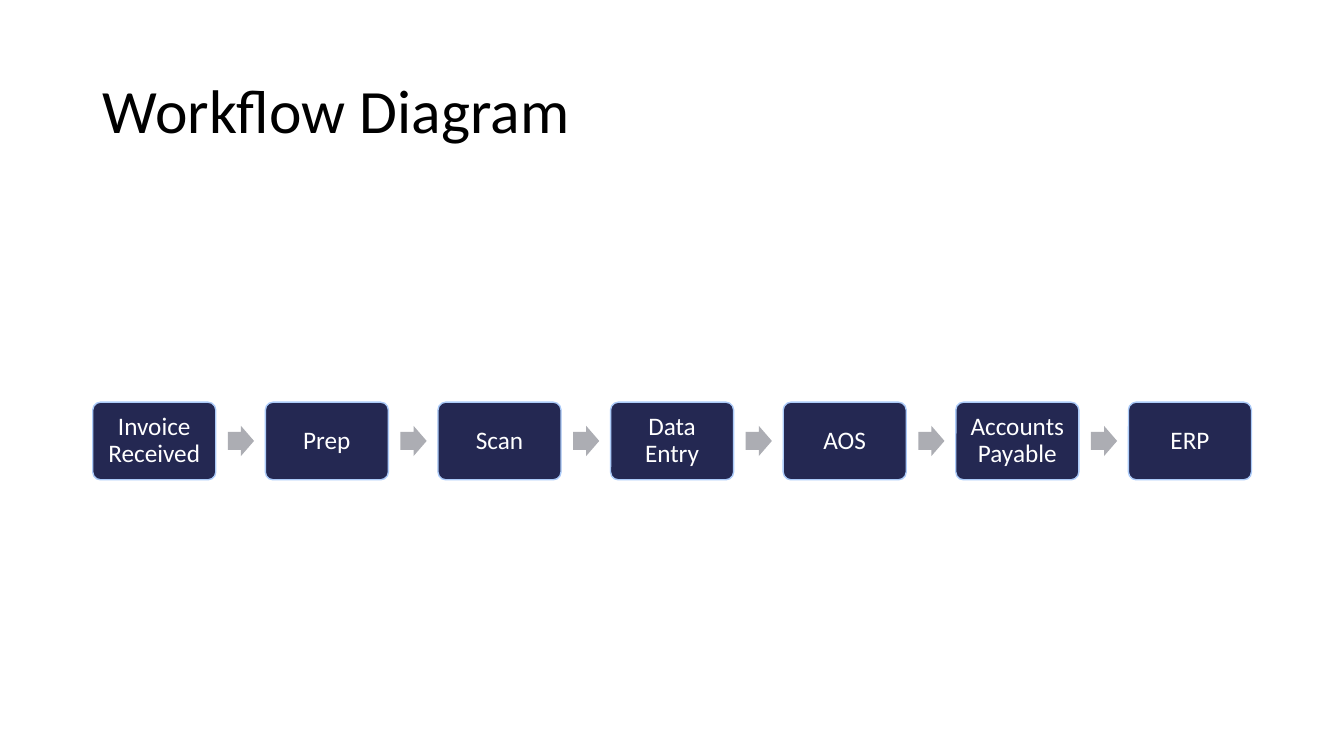
from dataclasses import dataclass

from pptx import Presentation
from pptx.dml.color import RGBColor
from pptx.enum import shapes, text
from pptx.shapes.autoshape import Shape
from pptx.slide import Slide
from pptx.util import Inches, Pt

STEPS = ["Invoice Received", "Prep", "Scan", "Data Entry", "AOS", "Accounts Payable", "ERP"]
FIRST_LEFT, PITCH, MIDDLE = 0.92, 1.712, 4.375
ARROW_OFFSET = 1.34


@dataclass
class BlockStyle:
    """Look and size, in inches, of one kind of block in the workflow."""
    preset: shapes.MSO_SHAPE
    width: float
    height: float
    adjustments: tuple[float, ...]
    fill: str
    outline: str | None = None


STEP = BlockStyle(shapes.MSO_SHAPE.ROUNDED_RECTANGLE, 1.22, 0.77, (0.1,), "242852", "ACCBF9")
ARROW = BlockStyle(shapes.MSO_SHAPE.RIGHT_ARROW, 0.26, 0.3, (0.6, 0.5), "ACADB3")


def colour(value: str) -> RGBColor:
    return RGBColor.from_string(value)


def write(shape: Shape, wording: str, size: float, ink: str, align: text.PP_ALIGN,
          inset: float) -> None:
    frame = shape.text_frame
    frame.text = wording
    frame_format = {
        "word_wrap": True,
        "auto_size": text.MSO_AUTO_SIZE.NONE,
        "vertical_anchor": text.MSO_ANCHOR.MIDDLE,
        "margin_left": Inches(inset),
        "margin_right": Inches(inset),
    }
    paragraph = frame.paragraphs[0]
    font = paragraph.runs[0].font
    formats = [
        (frame, frame_format),
        (paragraph, {"alignment": align, "line_spacing": 0.9}),
        (font, {"name": "Calibri", "size": Pt(size)}),
    ]
    for target, values in formats:
        for name, value in values.items():
            setattr(target, name, value)
    font.color.rgb = colour(ink)


def add_block(slide: Slide, style: BlockStyle, left: float) -> Shape:
    """Add a block centred on the workflow's horizontal axis."""
    block = slide.shapes.add_shape(
        style.preset, Inches(left), Inches(MIDDLE - style.height / 2),
        Inches(style.width), Inches(style.height))
    for index, value in enumerate(style.adjustments):
        block.adjustments[index] = value
    block.shadow.inherit = False
    block.fill.solid()
    block.fill.fore_color.rgb = colour(style.fill)
    if style.outline:
        block.line.color.rgb = colour(style.outline)
        block.line.width = Pt(1)
    else:
        block.line.fill.background()
    return block


def add_title(slide: Slide, wording: str) -> None:
    title = slide.shapes.title
    title.left, title.top = Inches(0.92), Inches(0.4)
    title.width, title.height = Inches(11.5), Inches(1.45)
    write(title, wording, 44, "000000", text.PP_ALIGN.LEFT, 0.1)


def main() -> None:
    deck = Presentation()
    deck.slide_width, deck.slide_height = Inches(13.33), Inches(7.5)
    slide = deck.slides.add_slide(deck.slide_layouts.get_by_name("Title Only"))
    add_title(slide, "Workflow Diagram")
    for index, label in enumerate(STEPS):
        left = FIRST_LEFT + index * PITCH
        step = add_block(slide, STEP, left)
        write(step, label, 18, "FFFFFF", text.PP_ALIGN.CENTER, 0.1)
        if index < len(STEPS) - 1:
            add_block(slide, ARROW, left + ARROW_OFFSET)
    deck.save("out.pptx")


if __name__ == "__main__":
    main()
